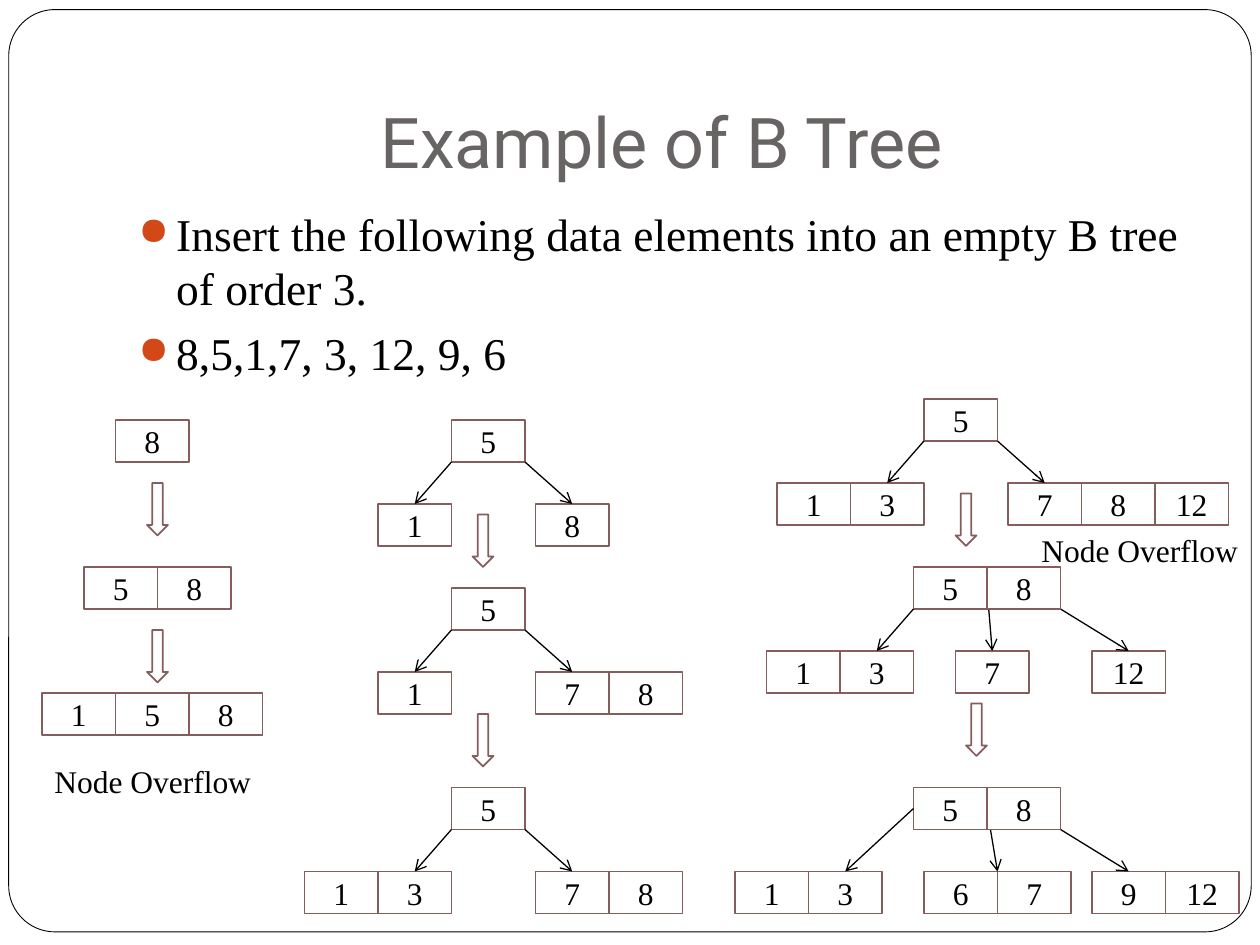
from dataclasses import dataclass
from pptx import Presentation
from pptx.dml.color import RGBColor
from pptx.enum.shapes import MSO_CONNECTOR, MSO_SHAPE
from pptx.enum.text import MSO_ANCHOR, PP_ALIGN
from pptx.oxml.ns import qn
from pptx.util import Pt
from lxml.etree import SubElement


@dataclass(frozen=True)
class Theme:
    ink: str = "000000"
    paper: str = "FFFFFF"
    title: str = "696464"
    edge: str = "855D5D"
    bullet: str = "D34817"
    head: str = "Roboto"
    body: str = "Times New Roman"
    big: float = 40
    mid: float = 26
    small: float = 18


THEME = Theme()
WIDE, HIGH, DROP = 42, 24, 48


def color(code):
    return RGBColor.from_string(code)


def add_run(para, text, size, font=THEME.body, ink=THEME.ink):
    run = para.add_run()
    run.text = text
    run.font.size = Pt(size)
    run.font.name = font
    run.font.color.rgb = color(ink)


def add_form(shapes, kind, box, edge=THEME.edge, width=1):
    form = shapes.add_shape(kind, *map(Pt, box))
    form.shadow.inherit = False
    form.fill.solid()
    form.fill.fore_color.rgb = color(THEME.paper)
    form.line.color.rgb = color(edge)
    form.line.width = Pt(width)
    return form


def add_box(shapes, box):
    frame = shapes.add_textbox(*map(Pt, box)).text_frame
    frame.word_wrap = True
    return frame


def add_frame(shapes, box):
    form = add_form(shapes, MSO_SHAPE.ROUNDED_RECTANGLE, box, THEME.ink, 0.5)
    form.adjustments[0] = 0.05


def add_title(shapes, box, text):
    frame = add_box(shapes, box)
    frame.vertical_anchor = MSO_ANCHOR.BOTTOM
    frame.margin_bottom = Pt(7.2)
    para = frame.paragraphs[0]
    para.alignment = PP_ALIGN.CENTER
    add_run(para, text, THEME.big, THEME.head, THEME.title)


def add_list(shapes, box, items):
    frame = add_box(shapes, box)
    for i, text in enumerate(items):
        para = frame.add_paragraph() if i else frame.paragraphs[0]
        para.space_before = Pt(5.8)
        props = para._p.get_or_add_pPr()
        props.set("marL", str(Pt(21.6)))
        props.set("indent", str(-Pt(21.6)))
        tint = SubElement(props, qn("a:buClr"))
        SubElement(tint, qn("a:srgbClr"), val=THEME.bullet)
        SubElement(props, qn("a:buSzPct"), val="85000")
        SubElement(props, qn("a:buChar"), char="●")
        add_run(para, text, THEME.mid)


def add_note(shapes, x, y):
    frame = add_box(shapes, (x, y, 132, 28.8))
    add_run(frame.paragraphs[0], "Node Overflow", THEME.small)


def add_cell(shapes, x, y, key):
    cell = add_form(shapes, MSO_SHAPE.RECTANGLE, (x, y, WIDE, HIGH))
    frame = cell.text_frame
    frame.vertical_anchor = MSO_ANCHOR.MIDDLE
    para = frame.paragraphs[0]
    para.alignment = PP_ALIGN.CENTER
    add_run(para, str(key), THEME.small)
    return cell


def add_node(shapes, x, y, keys):
    return [add_cell(shapes, x + i * WIDE, y, key) for i, key in enumerate(keys)]


def add_link(shapes, start, end):
    link = shapes.add_connector(MSO_CONNECTOR.STRAIGHT, *map(Pt, start + end))
    link.line.color.rgb = color(THEME.ink)
    link.line.width = Pt(0.75)
    SubElement(link.line._get_or_add_ln(), qn("a:tailEnd"), type="arrow")
    SubElement(link._element.spPr, qn("a:effectLst"))
    return link


def add_tree(slide, x, y, keys, kids):
    shapes = slide.shapes.add_group_shape().shapes
    root = add_cell(shapes, x, y, keys[0])
    starts = {
        "left": (x, y + HIGH),
        "side": (x, y + HIGH / 2),
        "mid": (x + WIDE, y + HIGH / 2),
        "right": (x + len(keys) * WIDE, y + HIGH),
    }
    joins = {"side": 1, "mid": 3}
    for left, values, start, aim in kids:
        top = y + DROP
        cells = add_node(shapes, left, top, values)
        end = (left + (aim + 0.5) * WIDE, top)
        link = add_link(shapes, starts[start], end)
        if start in joins:
            link.begin_connect(root, joins[start])
        if aim == int(aim):
            link.end_connect(cells[int(aim)], 0)
    add_node(shapes, x + WIDE, y, keys[1:])


NODES = [(66, 240, [8]), (48, 324, [5, 8]), (24, 396, [1, 5, 8])]
STEPS = [(84, 276), (84, 360), (270, 294), (270, 408), (546, 282), (552, 402)]
NOTES = [(24, 432), (588, 300)]
TREES = [
    (258, 240, [5], [(216, [1], "left", 0), (306, [8], "right", 0)]),
    (258, 336, [5], [(216, [1], "left", 0), (306, [7, 8], "right", 0)]),
    (258, 450, [5], [(174, [1, 3], "left", 1), (306, [7, 8], "right", 0)]),
    (528, 228, [5], [(444, [1, 3], "left", 1), (576, [7, 8, 12], "right", 0)]),
    (522, 324, [5, 8], [(438, [1, 3], "left", 1), (546, [7], "mid", 0),
                        (624, [12], "right", 0)]),
    (522, 450, [5, 8], [(420, [1, 3], "side", 1), (528, [6, 7], "mid", 0.5),
                        (624, [9, 12], "right", 0)]),
]


def main():
    deck = Presentation()
    deck.slide_width, deck.slide_height = Pt(720), Pt(540)
    slide = deck.slides.add_slide(deck.slide_layouts[6])
    shapes = slide.shapes
    add_frame(shapes, (5, 5.5, 710, 527))
    add_title(shapes, (72, 21.6, 612, 90), "Example of B Tree")
    add_list(shapes, (72, 114, 612, 114), [
        "Insert the following data elements into an empty B tree of order 3.",
        "8,5,1,7, 3, 12, 9, 6",
    ])
    for x, y, keys in NODES:
        group = shapes if len(keys) == 1 else shapes.add_group_shape().shapes
        add_node(group, x, y, keys)
    for tree in TREES:
        add_tree(slide, *tree)
    for x, y in STEPS:
        add_form(shapes, MSO_SHAPE.DOWN_ARROW, (x, y, 12, 30))
    for x, y in NOTES:
        add_note(shapes, x, y)
    deck.save("out.pptx")


if __name__ == "__main__":
    main()
